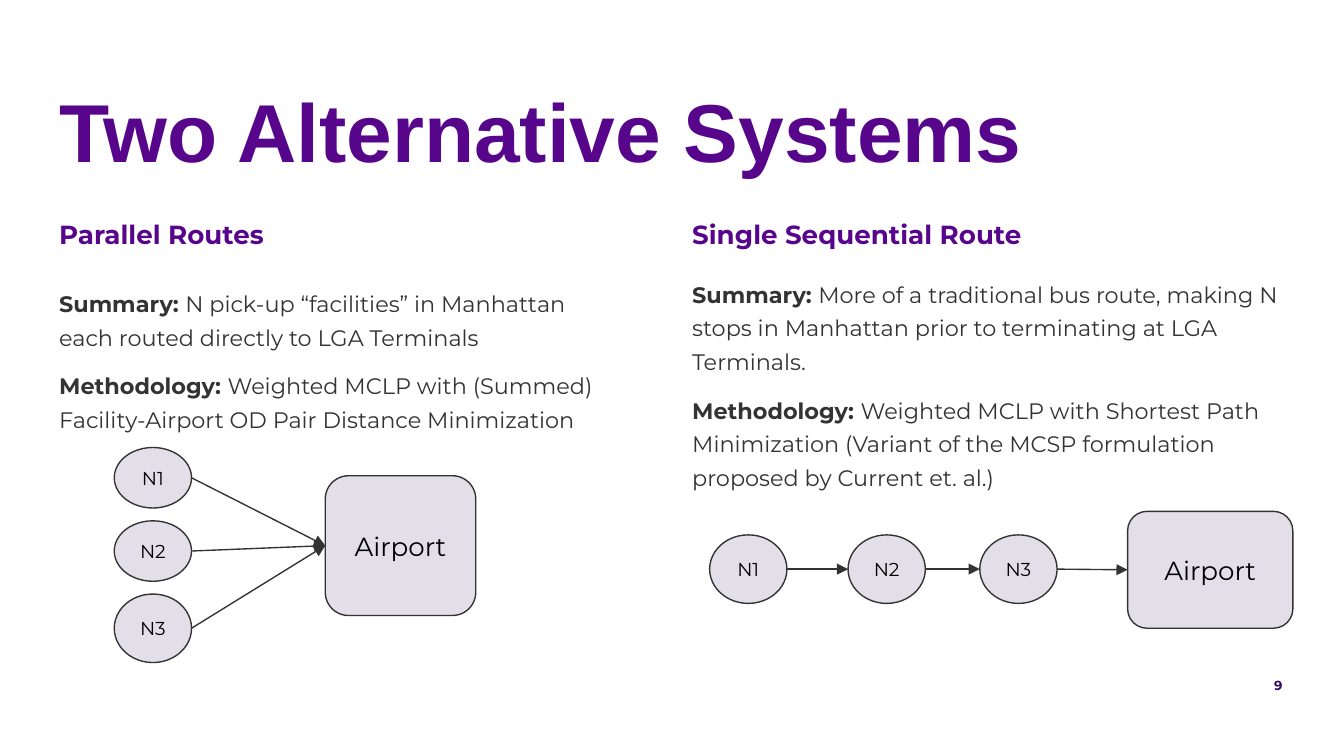
"""Build a slide comparing two airport bus route systems."""
from dataclasses import dataclass

from lxml import etree
from pptx import Presentation
from pptx import util as u
from pptx.dml.color import RGBColor
from pptx.enum import shapes, text
from pptx.oxml.ns import qn

HUES = {"title": "57068C", "body": "333333", "page": "330662",
        "node": "E3DFE9", "label": "000000"}
FACE = "Montserrat"
CELL = u.Inches(0.1)
COLS, ROWS = 100, 56.25


@dataclass
class Box:
    """A place on a grid of tenth-inch columns and rows."""
    col: float
    row: float
    wide: float
    high: float

    def place(self) -> list:
        return [u.Emu(round(n * CELL)) for n in (self.col, self.row, self.wide, self.high)]


@dataclass
class Side:
    """One system: heading, labelled paragraphs and network."""
    head: str
    head_box: Box
    notes: list
    note_box: Box
    stops: list
    port: Box
    chain: bool


def hue(name: str) -> RGBColor:
    """Look up a named colour."""
    return RGBColor.from_string(HUES[name])


def style(run, size: float, tint: str, bold: bool = False, face: str = FACE) -> None:
    """Format one run."""
    run.font.name, run.font.size, run.font.bold = face, u.Pt(size), bold
    run.font.color.rgb = hue(tint)


def frame(shape, anchor=text.MSO_ANCHOR.TOP):
    """Set even margins, wrapping and anchor, and return the text frame."""
    body = shape.text_frame
    body.word_wrap = True
    body.auto_size = text.MSO_AUTO_SIZE.NONE
    body.vertical_anchor = anchor
    body.margin_left = body.margin_right = CELL
    body.margin_top = body.margin_bottom = CELL
    return body


def move(shape, box: Box) -> None:
    """Put a shape in its box."""
    shape.left, shape.top, shape.width, shape.height = box.place()


def space(para, line: float, before: float = 0, after: float = 0) -> None:
    """Set the spacing of a paragraph."""
    para.line_spacing = line
    para.space_before, para.space_after = u.Pt(before), u.Pt(after)
    para.alignment = text.PP_ALIGN.LEFT


def heading(shape, words: str, box: Box, size: float, line: float,
            after: float = 0, face: str = FACE) -> None:
    """Fill a placeholder with one bold line."""
    move(shape, box)
    para = frame(shape).paragraphs[0]
    para.text = words
    space(para, line, after=after)
    style(para.runs[0], size, "title", True, face)


def details(shape, notes: list, box: Box) -> None:
    """Fill a placeholder with paragraphs that open with a bold label."""
    move(shape, box)
    body = frame(shape)
    for i, pair in enumerate(notes):
        para = body.add_paragraph() if i else body.paragraphs[0]
        props = para._p.get_or_add_pPr()
        props.set("marL", "0")
        props.set("indent", "0")
        etree.SubElement(props, qn("a:buNone"))
        gap = 8 if i else 0
        space(para, 1.25, gap, gap)
        for words, bold in zip(pair, (True, False)):
            run = para.add_run()
            run.text = words
            style(run, 12, "body", bold)


def node(slide, kind, words: str, box: Box, size: float):
    """Draw a labelled node."""
    shape = slide.shapes.add_shape(kind, *box.place())
    shape.shadow.inherit = False
    shape.fill.solid()
    shape.fill.fore_color.rgb = hue("node")
    shape.line.color.rgb = hue("body")
    shape.line.width = u.Pt(0.75)
    para = frame(shape, text.MSO_ANCHOR.MIDDLE).paragraphs[0]
    para.text = words
    para.alignment = text.PP_ALIGN.CENTER
    style(para.runs[0], size, "label")
    return shape


def arrow(slide, start, end, join: bool) -> None:
    """Draw an arrow from the right of one node to the left of another."""
    line = slide.shapes.add_connector(
        shapes.MSO_CONNECTOR.STRAIGHT,
        start.left + start.width, start.top + start.height // 2,
        end.left, end.top + end.height // 2)
    if join:
        line.end_connect(end, 1)
    line.line.color.rgb = hue("body")
    line.line.width = u.Pt(0.75)
    etree.SubElement(line.line._get_or_add_ln(), qn("a:tailEnd"), type="triangle")
    etree.SubElement(line._element.spPr, qn("a:effectLst"))


def network(slide, side: Side) -> None:
    """Draw the stops, the airport and the arrows between them."""
    kind = shapes.MSO_SHAPE
    stops = [node(slide, kind.OVAL, f"N{i}", box, 10)
             for i, box in enumerate(side.stops, 1)]
    port = node(slide, kind.ROUNDED_RECTANGLE, "Airport", side.port, 14)
    ends = stops[1:] + [port] if side.chain else [port] * len(stops)
    for start, end in zip(stops, ends):
        arrow(slide, start, end, end is port)


SIDES = [
    Side("Parallel Routes", Box(3.4, 14.9, 43.7, 4.5),
         [("Summary: ", "N pick-up “facilities” in Manhattan each routed directly "
           "to LGA Terminals"),
          ("Methodology: ", "Weighted MCLP with (Summed) Facility-Airport OD Pair "
           "Distance Minimization")],
         Box(3.4, 20.1, 43.7, 19.8),
         [Box(8.5, row, 5.75, high) for row, high in ((33.3, 4.5), (38.75, 4.5), (44.2, 5.1))],
         Box(24.2, 35.4, 11.2, 10.4), False),
    Side("Single Sequential Route", Box(50.5, 14.9, 43.7, 4.5),
         [("Summary: ", "More of a traditional bus route, making N stops in Manhattan "
           "prior to terminating at LGA Terminals."),
          ("Methodology: ", "Weighted MCLP with Shortest Path Minimization (Variant of "
           "the MCSP formulation proposed by Current et. al.)")],
         Box(50.5, 19.4, 47.9, 19.8),
         [Box(col, 39.8, 5.75, 5.1) for col in (52.8, 63.1, 72.9)],
         Box(83.9, 38.05, 12.3, 8.7), True),
]


def main() -> None:
    """Build and save the slide."""
    deck = Presentation()
    deck.slide_width, deck.slide_height = round(COLS * CELL), round(ROWS * CELL)
    slide = deck.slides.add_slide(deck.slide_layouts.get_by_name("Comparison"))
    title, *slots = slide.placeholders
    heading(title, "Two Alternative Systems", Box(3.4, 6.4, 82.7, 12.4), 44, 0.8,
            face="Arial")
    for side, top, body in zip(SIDES, slots[::2], slots[1::2]):
        heading(top, side.head, side.head_box, 14, 1.15, after=16)
        details(body, side.notes, side.note_box)
        network(slide, side)
    page = slide.shapes.add_textbox(*Box(50.5, 49.4, 45.9, 3.4).place())
    para = frame(page).paragraphs[0]
    para.text = "9"
    para.alignment = text.PP_ALIGN.RIGHT
    style(para.runs[0], 7, "page", True)
    deck.save("out.pptx")


if __name__ == "__main__":
    main()
